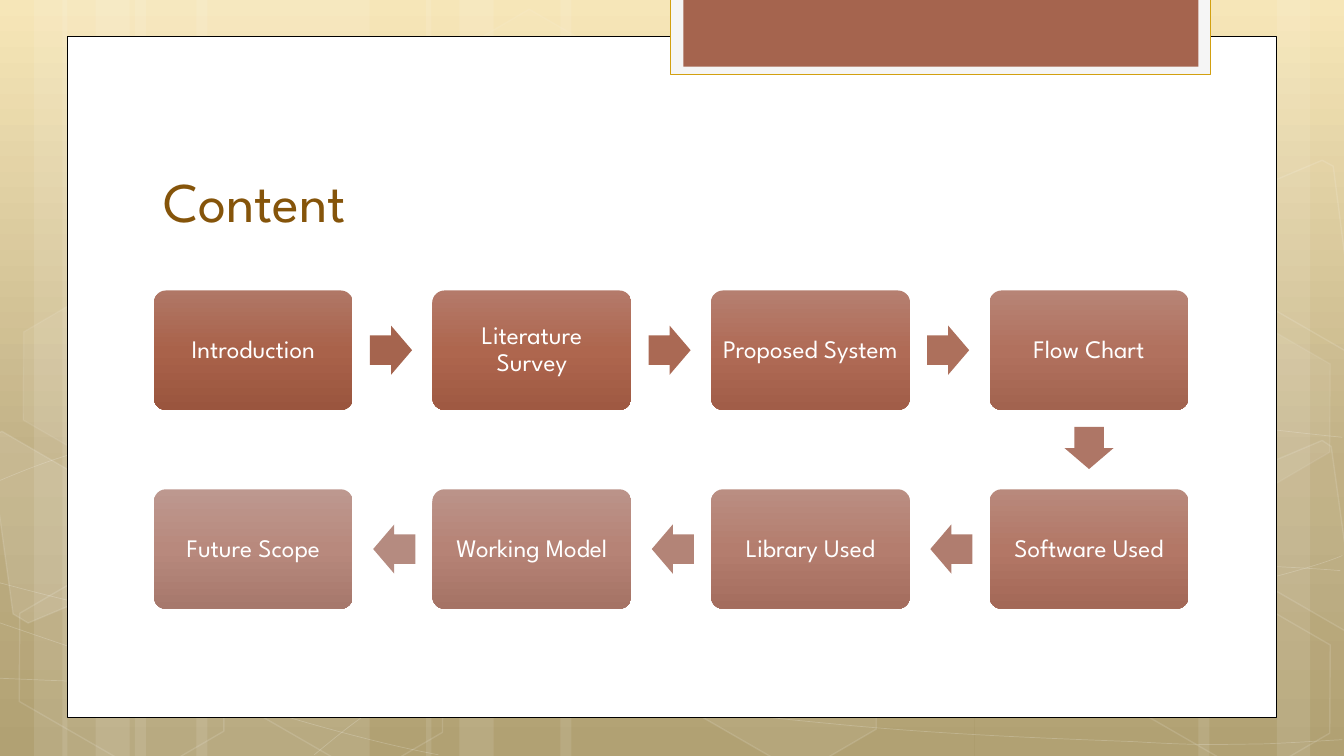
from copy import deepcopy
from dataclasses import dataclass

from lxml.etree import SubElement
from pptx import Presentation
from pptx.dml.color import RGBColor
from pptx.enum.shapes import MSO_SHAPE
from pptx.enum.text import MSO_ANCHOR, MSO_AUTO_SIZE, PP_ALIGN
from pptx.oxml.ns import qn
from pptx.util import Cm, Pt


@dataclass(frozen=True)
class Theme:
    """Colours, type and line sizes of the slide."""
    font: str = "League Spartan"
    title_size: float = 40
    step_size: float = 18
    title: str = "85540A"
    white: str = "FFFFFF"
    black: str = "000000"
    tab_rim: str = "F5F5F5"
    tab_edge: str = "D2A010"
    tab: str = "A5644E"
    backdrop: tuple = ((0, "F6E4B0"), (0.62, "BAA878"), (1, "A99764"))


THEME = Theme()
TITLE = "Content"

# label, gradient from top to bottom, colour of the arrow to the next step
STEPS = [
    ("Introduction", ("B07766", "A9624A", "9A553E"), "A5644E"),
    ("Literature Survey", ("B47A6A", "AE664E", "9F5942"), "AA6954"),
    ("Proposed System", ("B57F70", "B06B56", "A15D48"), "AD705C"),
    ("Flow Chart", ("B78476", "B1715E", "A2634F"), "AE7666"),
    ("Software Used", ("B8897C", "B37766", "A36857"), "B07D6F"),
    ("Library Used", ("BA8E82", "B47D6E", "A46D5E"), "B38477"),
    ("Working Model", ("BB9389", "B68376", "A57365"), "B58B80"),
    ("Future Scope", ("BD988F", "B8897D", "A6786C"), None),
]

# Lengths in centimetres
SLIDE_W, SLIDE_H = 33.87, 19.05
PANEL = (1.7, 0.91, 30.47, 17.18)
TAB_RIM = (16.9, -0.05, 13.61, 1.93)
TAB = (17.22, -0.05, 12.98, 1.73)
TITLE_AREA = (3.86, 2.84, 26.01, 3.18)
COLUMNS = 4
STEP_X, STEP_Y, STEP_W, STEP_H = 3.88, 7.32, 5.01, 3.01
STEP_MARGIN = 0.2
PITCH_X, PITCH_Y = 7.02, 5.01
ARROW_W, ARROW_H, ARROW_SHIFT = 1.06, 1.24, 0.04

# left, width
BANDS = [(3.4, 5.92), (0, 1.7), (0.86, 2.82), (4.95, 5.92), (1.57, 1.7), (2.41, 2.82),
         (24.56, 5.92), (32.18, 1.7), (30.2, 2.82), (14.12, 10.44), (10.74, 1.7), (11.58, 2.82)]

# start point, then two handles and an end point for each cubic curve
CURVES = [
    [(-0.03, 17.09), (1.8, 17.17), (3.63, 17.25), (6.17, 17.22), (8.71, 17.2), (11.84, 17.15),
     (15.21, 16.89), (18.62, 16.64), (23.42, 16.15), (26.54, 15.67), (29.64, 15.19),
     (32.82, 14.43), (33.83, 14)],
    [(-0.03, 12.12), (0.94, 11.71), (1.9, 11.33), (3.84, 10.95), (5.77, 10.57), (8.48, 10.01),
     (11.48, 9.83), (14.5, 9.65), (18.14, 9.63), (21.87, 9.83), (25.6, 10.03),
     (31.8, 10.82), (33.83, 11.02)],
    [(-0.08, 15.67), (4.01, 17.07), (8.1, 18.47), (11.05, 19.02)],
    [(-0.03, 14.68), (1.02, 14.96), (2.08, 15.24), (4.06, 15.65), (6.02, 16.03), (8.97, 16.66),
     (11.79, 17.09), (14.63, 17.53), (18.19, 17.98), (20.98, 18.24), (23.8, 18.52),
     (26.8, 18.62), (28.6, 18.69), (30.38, 18.8), (30.84, 18.75), (31.72, 18.75),
     (32.59, 18.72), (33.22, 18.67), (33.83, 18.64)],
    [(7.92, 19.02), (8.53, 18.52), (9.12, 18.01), (9.96, 17.55), (10.77, 17.09), (11.91, 16.59),
     (12.85, 16.23), (13.79, 15.88), (14.38, 15.72), (15.62, 15.47), (16.87, 15.21),
     (19.15, 14.86), (20.32, 14.68), (21.51, 14.5), (21.69, 14.5), (22.76, 14.45),
     (23.8, 14.38), (25.45, 14.3), (26.62, 14.27), (27.79, 14.25), (29.74, 14.27),
     (29.74, 14.27), (30.5, 14.27), (31.2, 14.27), (31.98, 14.27), (32.61, 14.3),
     (33.17, 14.33), (33.78, 14.38)],
]

# left, top, fill opacity, line opacity in percent
HEX_W, HEX_H = 5.94, 3.86
HEXAGONS = [(11.02, 0.91, 4, 8), (16.54, 14.96, 6, 12), (0.1, 15.01, 0, 12), (0.2, 7.92, 7, 8),
            (5.61, 15.04, 0, 12), (27.97, 15.06, 0, 12), (27.97, 7.98, 7, 8)]

# corners, fill opacity in percent
SHARDS = [
    ([(-0.28, 11.02), (0.05, 10.87), (2.64, 12.37), (2.95, 14.76), (0.71, 15.7), (0.33, 15.47)], 10),
    ([(31.09, 12.04), (33.32, 11.1), (33.55, 11.25), (34.19, 15.88), (33.99, 15.95), (31.39, 14.45)], 4),
    ([(31.09, 4.98), (33.32, 4.04), (33.6, 4.19), (34.19, 8.79), (33.99, 8.89), (31.39, 7.39)], 0),
]


def paint(fill, color, opacity=100):
    """Fill with one colour at an opacity in percent, or leave unfilled at 0."""
    if not opacity:
        fill.background()
        return
    fill.solid()
    fill.fore_color.rgb = RGBColor.from_string(color)
    if opacity < 100:
        # The colour element is only reachable through the fill's XML
        rgb = fill._xPr.find(qn("a:solidFill")).find(qn("a:srgbClr"))
        SubElement(rgb, qn("a:alpha")).set("val", str(opacity * 1000))


def shade(fill, element, stops):
    """Fill from top to bottom through three (position, colour) stops."""
    fill.gradient()
    stop_list = element.xpath(".//a:gsLst")[0]
    stop_list.append(deepcopy(stop_list[-1]))
    fill.gradient_angle = 270
    for stop, (position, color) in zip(fill.gradient_stops, stops):
        stop.position = position
        stop.color.rgb = RGBColor.from_string(color)


def outline(shape, color, width, opacity=100):
    """Draw the outline of a shape and drop its shadow."""
    shape.shadow.inherit = False
    paint(shape.line.fill, color, opacity)
    if opacity:
        shape.line.width = Pt(width)


def add_preset(slide, preset, area, rotation=0):
    """Add a preset shape without outline or shadow."""
    shape = slide.shapes.add_shape(preset, *map(Cm, area))
    shape.rotation = rotation
    outline(shape, THEME.white, 0, 0)
    return shape


def add_path(slide, points, closed):
    """Add an outline through points given in centimetres."""
    corners = [(Cm(x), Cm(y)) for x, y in points]
    builder = slide.shapes.build_freeform(*corners[0])
    builder.add_line_segments(corners[1:], close=closed)
    return builder.convert_to_shape()


def bend(strand):
    """Join every three line segments of an outline into one cubic curve."""
    segments = strand.element.xpath(".//a:lnTo")
    for i in range(0, len(segments), 3):
        curve = SubElement(segments[i].getparent(), qn("a:cubicBezTo"))
        for segment in segments[i:i + 3]:
            curve.append(segment[0])
            segment.getparent().remove(segment)


def style_text(frame, size, color, align, anchor, spacing):
    """Format the single paragraph of a text frame."""
    frame.word_wrap = True
    frame.auto_size = MSO_AUTO_SIZE.NONE
    frame.vertical_anchor = anchor
    paragraph = frame.paragraphs[0]
    paragraph.alignment = align
    paragraph.line_spacing = spacing
    font = paragraph.runs[0].font
    font.name, font.size = THEME.font, Pt(size)
    font.color.rgb = RGBColor.from_string(color)


def add_backdrop(slide):
    """Add the gradient, bands, curves and hexagons behind the panel."""
    shade(slide.background.fill, slide.element, THEME.backdrop)
    for left, width in BANDS:
        band = add_preset(slide, MSO_SHAPE.RECTANGLE, (left, 0, width, SLIDE_H))
        paint(band.fill, THEME.white, 10)
    for curve in CURVES:
        strand = add_path(slide, curve, False)
        bend(strand)
        strand.fill.background()
        outline(strand, THEME.white, 0.5, 20)
    for left, top, fill_opacity, line_opacity in HEXAGONS:
        hexagon = add_preset(slide, MSO_SHAPE.HEXAGON, (left, top, HEX_W, HEX_H), 30)
        hexagon.adjustments[0] = 0.285
        paint(hexagon.fill, THEME.white, fill_opacity)
        outline(hexagon, THEME.white, 1, line_opacity)
    for corners, opacity in SHARDS:
        shard = add_path(slide, corners, True)
        paint(shard.fill, THEME.white, opacity)
        outline(shard, THEME.white, 1, 12)


def add_panel(slide):
    """Add the white panel, its tab and the title."""
    for area, color, edge, width in ((PANEL, THEME.white, THEME.black, 0.5),
                                     (TAB_RIM, THEME.tab_rim, THEME.tab_edge, 1),
                                     (TAB, THEME.tab, None, 0)):
        plate = add_preset(slide, MSO_SHAPE.RECTANGLE, area)
        paint(plate.fill, color)
        if edge:
            outline(plate, edge, width)
    title = slide.shapes.title
    title.left, title.top, title.width, title.height = map(Cm, TITLE_AREA)
    title.text_frame.text = TITLE
    style_text(title.text_frame, THEME.title_size, THEME.title, PP_ALIGN.LEFT, MSO_ANCHOR.BOTTOM, 1.0)
    title.element.getparent().append(title.element)


def step_center(index):
    """Return the centre of a step; every second row runs backwards."""
    row, column = divmod(index, COLUMNS)
    if row % 2:
        column = COLUMNS - 1 - column
    return STEP_X + column * PITCH_X + STEP_W / 2, STEP_Y + row * PITCH_Y + STEP_H / 2


def add_step(slide, index, label, colors):
    """Add one step box with its label."""
    x, y = step_center(index)
    step = add_preset(slide, MSO_SHAPE.ROUNDED_RECTANGLE,
                      (x - STEP_W / 2, y - STEP_H / 2, STEP_W, STEP_H))
    step.adjustments[0] = 0.1
    shade(step.fill, step.element, zip((0, 0.5, 1), colors))
    frame = step.text_frame
    frame.text = label
    frame.margin_left = frame.margin_right = Cm(STEP_MARGIN)
    style_text(frame, THEME.step_size, THEME.white, PP_ALIGN.CENTER, MSO_ANCHOR.MIDDLE, 0.9)


def add_arrow(slide, index, color):
    """Add the block arrow from a step to the next one."""
    (x1, y1), (x2, y2) = step_center(index), step_center(index + 1)
    dx, dy = (x2 > x1) - (x2 < x1), int(y2 > y1)
    x = (x1 + x2) / 2 - dx * ARROW_SHIFT
    y = (y1 + y2) / 2 - dy * ARROW_SHIFT
    rotation = 90 if dy else 90 - 90 * dx
    arrow = add_preset(slide, MSO_SHAPE.RIGHT_ARROW,
                       (x - ARROW_W / 2, y - ARROW_H / 2, ARROW_W, ARROW_H), rotation)
    arrow.adjustments[0], arrow.adjustments[1] = 0.6, 0.5
    paint(arrow.fill, color)


deck = Presentation()
deck.slide_width, deck.slide_height = Cm(SLIDE_W), Cm(SLIDE_H)
content_slide = deck.slides.add_slide(deck.slide_layouts[5])
add_backdrop(content_slide)
add_panel(content_slide)
for number, (step_label, step_colors, arrow_color) in enumerate(STEPS):
    add_step(content_slide, number, step_label, step_colors)
    if arrow_color:
        add_arrow(content_slide, number, arrow_color)
deck.save("out.pptx")
